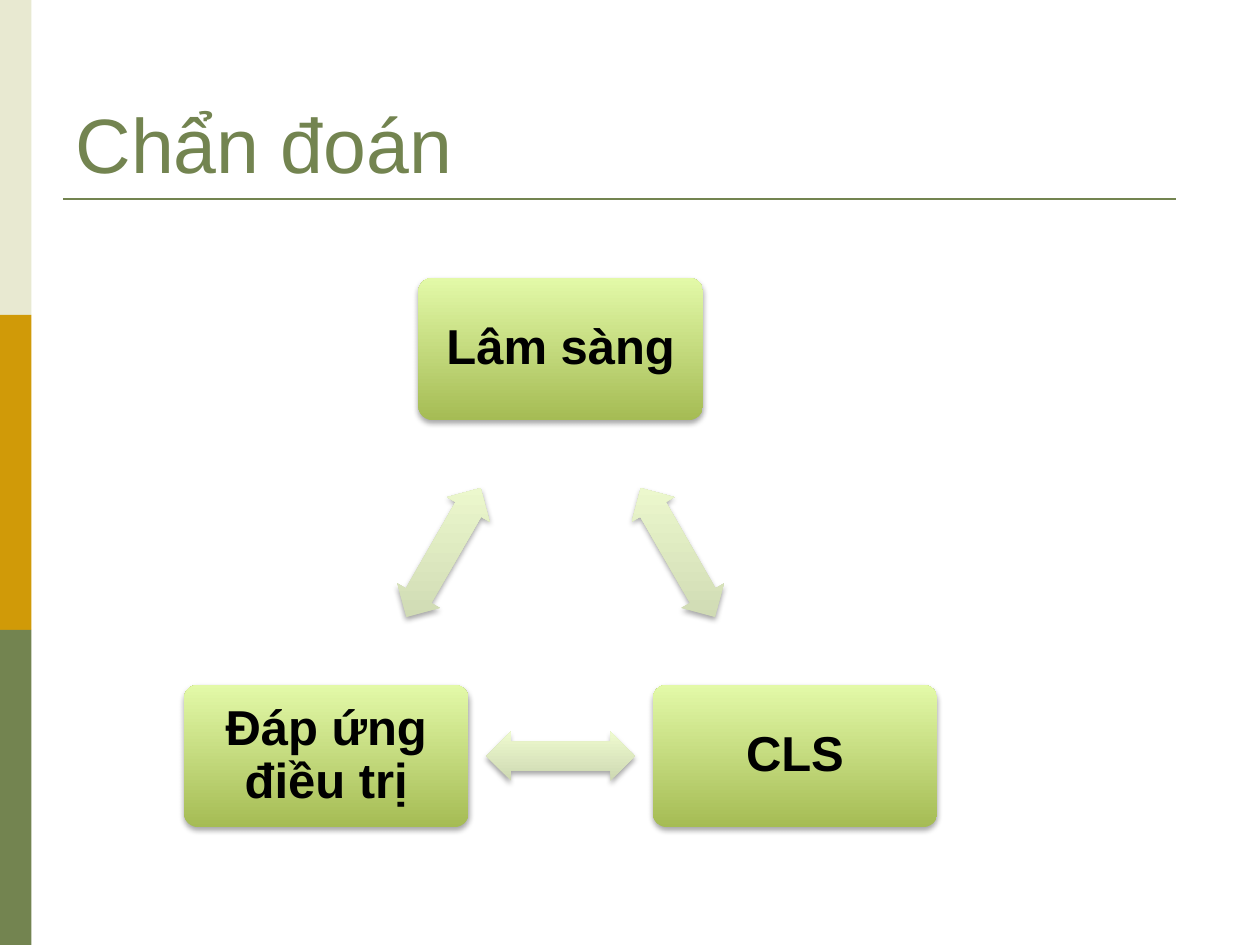
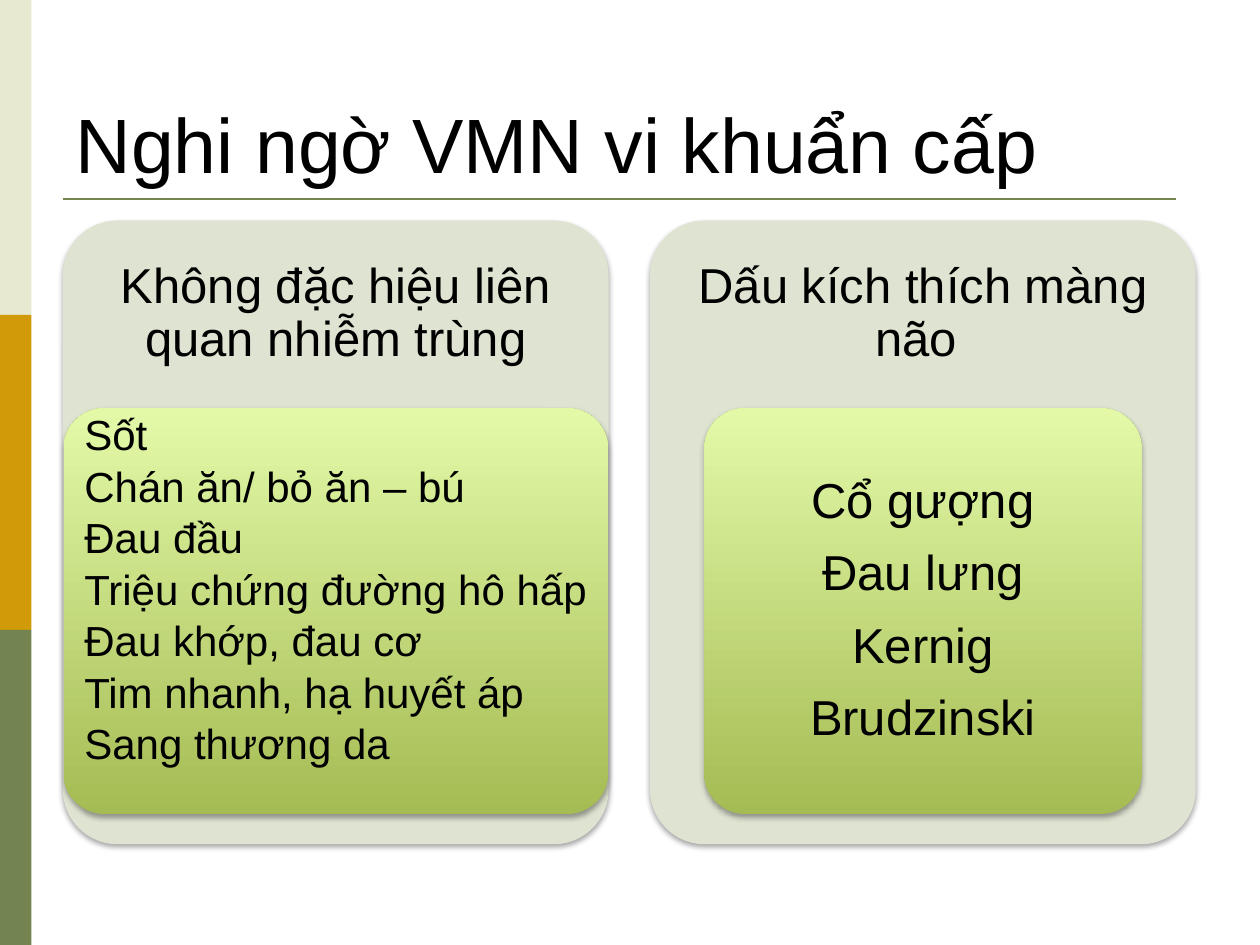
from itertools import combinations
from math import atan2, degrees

from lxml.etree import SubElement
from pptx import Presentation
from pptx.dml.color import RGBColor
from pptx.enum.shapes import MSO_CONNECTOR as Connector, MSO_SHAPE as Shape
from pptx.enum.text import MSO_ANCHOR as Anchor, PP_ALIGN as Align
from pptx.oxml.ns import qn
from pptx.util import Inches, Pt

BLACK = RGBColor(0x00, 0x00, 0x00)
IVORY = RGBColor(0xE8, 0xE9, 0xD1)
AMBER = RGBColor(0xD0, 0x9A, 0x08)
OLIVE = RGBColor(0x73, 0x84, 0x50)
SAGE = RGBColor(0xDF, 0xE4, 0xD2)
GREEN = (RGBColor(0xA5, 0xBC, 0x54), RGBColor(0xE3, 0xF9, 0xA8))
PALE = (RGBColor(0xCE, 0xD9, 0xB2), RGBColor(0xEE, 0xFA, 0xCF))
WIDTH, HEIGHT = 10, 7.5
COLUMN, ROW = WIDTH / 40, HEIGHT / 30


def write(shape, lines, frame_format, para_format, font_format, color=BLACK):
    frame = shape.text_frame
    frame.text = "\n".join(lines)
    for name, value in frame_format.items():
        setattr(frame, name, value)
    for para in frame.paragraphs:
        for name, value in para_format.items():
            setattr(para, name, value)
        for name, value in font_format.items():
            setattr(para.font, name, value)
        para.font.color.rgb = color


def add_block(page, kind, place, colors, adjustments=(), shadow=True):
    block = page.shapes.add_shape(kind, *map(Inches, place))
    block.shadow.inherit = False
    block.line.fill.background()
    for index, value in enumerate(adjustments):
        block.adjustments[index] = value
    properties = block._element.spPr
    if isinstance(colors, RGBColor):
        block.fill.solid()
        block.fill.fore_color.rgb = colors
    else:
        block.fill.gradient()
        block.fill.gradient_angle = 90
        for stop, color in zip(block.fill.gradient_stops, colors):
            stop.color.rgb = color
        properties.find(qn("a:gradFill")).set("rotWithShape", "0")
    if shadow:
        outer = SubElement(properties.find(qn("a:effectLst")), qn("a:outerShdw"),
                           blurRad="40000", dist="23000", dir="5400000", rotWithShape="0")
        tint = SubElement(outer, qn("a:srgbClr"), val="000000")
        SubElement(tint, qn("a:alpha"), val="35000")
    return block


deck = Presentation()
deck.slide_width, deck.slide_height = Inches(WIDTH), Inches(HEIGHT)
layout = deck.slide_layouts[5]
title_place = {"left": 2 * COLUMN, "top": 0.3, "width": 36 * COLUMN, "height": 5 * ROW}
for name, value in title_place.items():
    setattr(layout.placeholders[0], name, Inches(value))

diagnosis = deck.slides.add_slide(layout)
suspicion = deck.slides.add_slide(layout)

shared = [
    add_block(diagnosis, Shape.RECTANGLE, (0, index * HEIGHT / 3, COLUMN, HEIGHT / 3),
              color, shadow=False)
    for index, color in enumerate((IVORY, AMBER, OLIVE))
]
rule = diagnosis.shapes.add_connector(
    Connector.STRAIGHT, *map(Inches, (2 * COLUMN, 1.58, 9.33, 1.58)))
rule.line.color.rgb = OLIVE
rule.line.width = Pt(1.5)
SubElement(rule._element.spPr, qn("a:effectLst"))
for item in [*shared, rule]:
    layout.shapes._spTree.append(item._element)

title_frame = {"vertical_anchor": Anchor.BOTTOM, "word_wrap": True}
title_font = {"name": "Arial", "size": Pt(44)}
for page, text, color in (
    (diagnosis, "Chẩn đoán", OLIVE),
    (suspicion, "Nghi ngờ VMN vi khuẩn cấp", BLACK),
):
    write(page.shapes.title, [text], title_frame, {"alignment": Align.LEFT}, title_font, color)

sides = ("margin_left", "margin_top", "margin_right", "margin_bottom")
middle = {"vertical_anchor": Anchor.MIDDLE, "word_wrap": True}
centred = {"alignment": Align.CENTER, "line_spacing": 0.9, "space_after": Pt(11)}
single = {**centred, "space_after": Pt(0)}
large = {"name": "Arial", "size": Pt(28)}

node_width, node_height = 2.26, 1.13
arrow_width, arrow_height = 1.18, 0.39
node_frame = {**middle, **dict.fromkeys(sides, Inches(0.12))}
nodes = {
    "Lâm sàng": (4.45, 2.77),
    "CLS": (6.31, 6),
    "Đáp ứng điều trị": (2.59, 6),
}
for text, (x, y) in nodes.items():
    place = (x - node_width / 2, y - node_height / 2, node_width, node_height)
    node = add_block(diagnosis, Shape.ROUNDED_RECTANGLE, place, GREEN, [0.1])
    write(node, [text], node_frame, single, {**large, "bold": True})
for (x1, y1), (x2, y2) in combinations(sorted(nodes.values()), 2):
    place = ((x1 + x2 - arrow_width) / 2, (y1 + y2 - arrow_height) / 2,
             arrow_width, arrow_height)
    arrow = add_block(diagnosis, Shape.LEFT_RIGHT_ARROW, place, PALE, [0.6, 0.5])
    arrow.rotation = degrees(atan2(y2 - y1, x2 - x1))

panel_top, panel_width, panel_height = 7 * ROW, 4.33, 4.95
card_top, card_height = 3.24, 3.22
panel_step = panel_width + 0.33
heading_frame = {**middle, **dict(zip(sides, map(Inches, (0, 0, 0, 3.46))))}
symptom_frame = {"vertical_anchor": Anchor.TOP, "word_wrap": True,
                 **dict(zip(sides, map(Inches, (0.07, 0.02, 0, 0))))}
sign_frame = {**middle, **dict.fromkeys(sides, Inches(0.07))}
symptom_para = {"alignment": Align.LEFT, "line_spacing": 0.7, "space_after": Pt(9.25)}
panels = (
    ("Không đặc hiệu liên quan nhiễm trùng", 4.32,
     ["Sốt", "Chán ăn/ bỏ ăn – bú", "Đau đầu", "Triệu chứng đường hô hấp",
      "Đau khớp, đau cơ", "Tim nhanh, hạ huyết áp", "Sang thương da"],
     symptom_frame, symptom_para, {**large, "size": Pt(24)}),
    ("Dấu kích thích màng não ", 3.47,
     ["Cổ gượng", "Đau lưng", "Kernig", "Brudzinski"],
     sign_frame, centred, large),
)
for index, (heading, card_width, lines, frame, para, font) in enumerate(panels):
    left = 2 * COLUMN + index * panel_step
    panel = add_block(suspicion, Shape.ROUNDED_RECTANGLE,
                      (left, panel_top, panel_width, panel_height), SAGE, [0.1])
    write(panel, [heading], heading_frame, single, large)
    card_left = left + (panel_width - card_width) / 2
    card = add_block(suspicion, Shape.ROUNDED_RECTANGLE,
                     (card_left, card_top, card_width, card_height), GREEN, [0.1])
    write(card, lines, frame, para, font)

deck.save("out.pptx")
